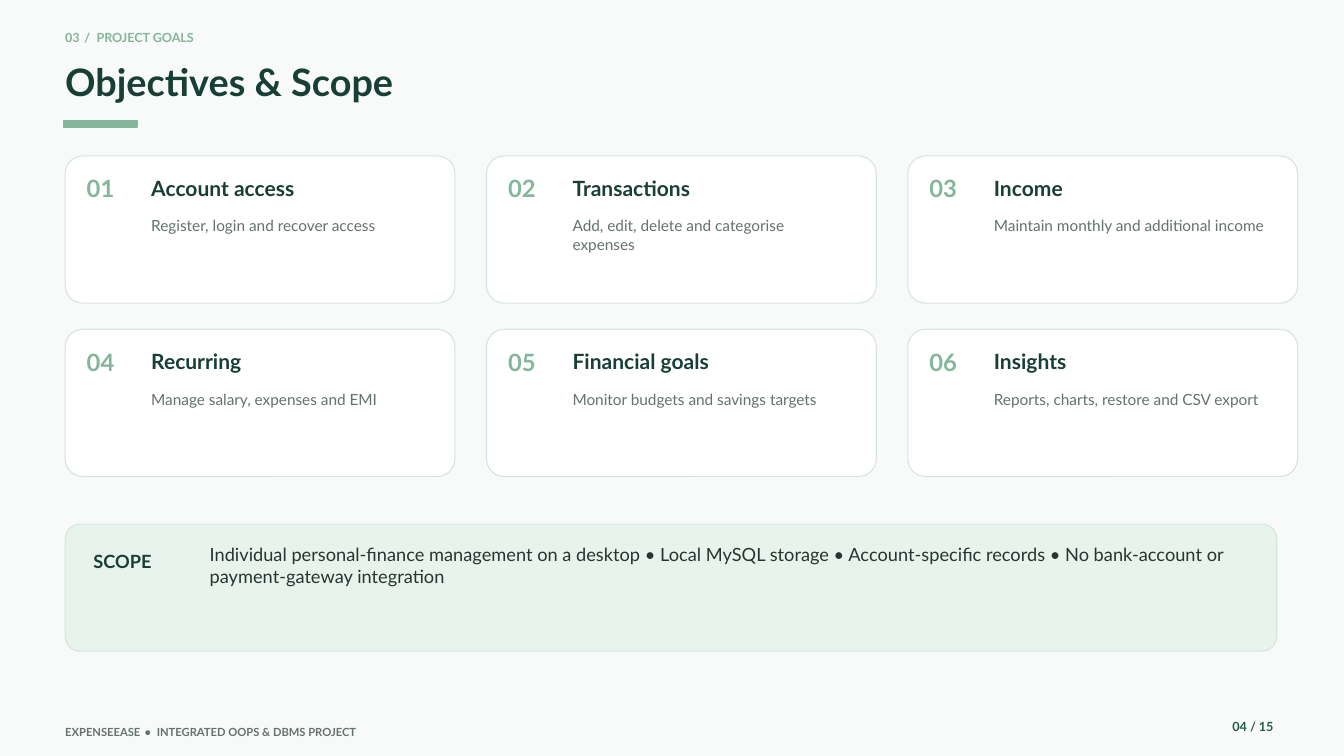
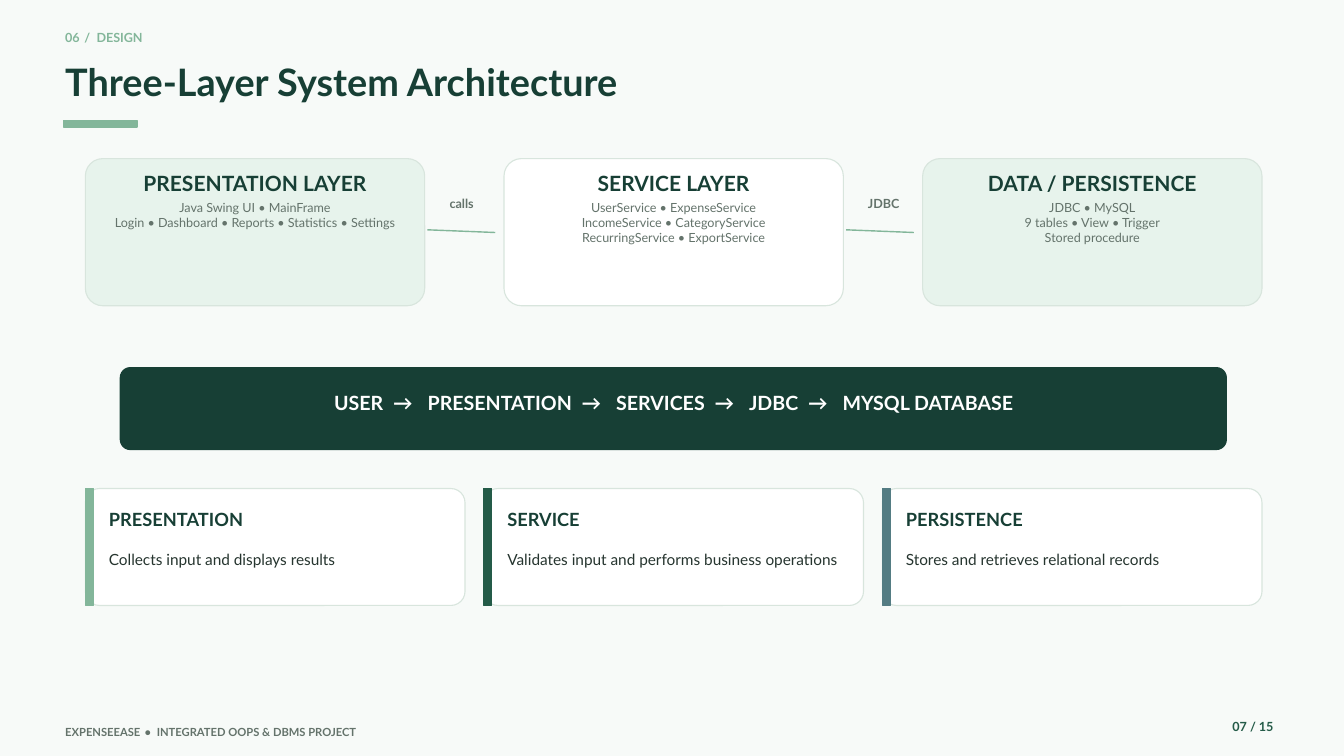
from dataclasses import dataclass

from lxml import etree
from pptx import Presentation
from pptx import util as u
from pptx.dml.color import RGBColor
from pptx.enum import shapes, text
from pptx.oxml.ns import qn
from pptx.presentation import Presentation as Deck
from pptx.shapes.base import BaseShape
from pptx.slide import Slide

PX = 9144
FONT = "Lato"
LEADING = 1.2
SPACE_WIDTH = 0.193

PAPER = RGBColor(0xF7, 0xFA, 0xF8)
WHITE = RGBColor(0xFF, 0xFF, 0xFF)
MINT = RGBColor(0xE7, 0xF3, 0xEC)
BORDER = RGBColor(0xD8, 0xE5, 0xDD)
SAGE = RGBColor(0x83, 0xB6, 0x9A)
GREEN = RGBColor(0x24, 0x5B, 0x48)
FOREST = RGBColor(0x17, 0x3F, 0x35)
TEAL = RGBColor(0x54, 0x7C, 0x83)
INK = RGBColor(0x26, 0x35, 0x2F)
MUTED = RGBColor(0x64, 0x73, 0x6B)

LEFT = text.PP_ALIGN.LEFT
CENTER = text.PP_ALIGN.CENTER
RIGHT = text.PP_ALIGN.RIGHT


@dataclass(frozen=True)
class Box:
    left: int
    top: int
    width: int
    height: int

    def emu(self) -> list[int]:
        return [px * PX for px in (self.left, self.top, self.width, self.height)]

    def inside(self, dx: int, dy: int, width: int, height: int) -> "Box":
        return Box(self.left + dx, self.top + dy, width, height)


@dataclass(frozen=True)
class Style:
    size: float
    color: RGBColor
    bold: bool = True
    align: text.PP_ALIGN = LEFT


@dataclass(frozen=True)
class Separator:
    mark: str
    extra_spaces: int


@dataclass(frozen=True)
class Objective:
    title: str
    detail: str


@dataclass(frozen=True)
class Layer:
    title: str
    members: str
    fill: RGBColor


@dataclass(frozen=True)
class Link:
    label: str
    line_left: int
    label_left: int


@dataclass(frozen=True)
class Role:
    title: str
    detail: str
    accent: RGBColor


KICKER = Style(13.5, SAGE)
TITLE = Style(40.5, FOREST)
FOOTER = Style(12, MUTED)
PAGE = Style(13.5, GREEN, align=RIGHT)
NUMBER = Style(25.5, SAGE)
CARD_TITLE = Style(22.5, FOREST)
CARD_DETAIL = Style(16.5, MUTED, bold=False)
HEADING = Style(19.5, FOREST)
SCOPE_TEXT = Style(19.5, INK, bold=False)
LAYER_TITLE = Style(22.5, FOREST, align=CENTER)
LAYER_MEMBERS = Style(13.5, MUTED, bold=False, align=CENTER)
LINK_LABEL = Style(13.5, MUTED, align=CENTER)
FLOW_TEXT = Style(21, WHITE, align=CENTER)
ROLE_DETAIL = Style(16.5, INK, bold=False)

SLASH = Separator(" / ", 2)
BULLET = Separator(" • ", 2)
ARROW = Separator(" → ", 4)

OBJECTIVES = [
    Objective("Account access", "Register, login and recover access"),
    Objective("Transactions", "Add, edit, delete and categorise expenses"),
    Objective("Income", "Maintain monthly and additional income"),
    Objective("Recurring", "Manage salary, expenses and EMI"),
    Objective("Financial goals", "Monitor budgets and savings targets"),
    Objective("Insights", "Reports, charts, restore and CSV export"),
]
SCOPE = (
    "Individual personal-finance management on a desktop • Local MySQL storage • "
    "Account-specific records • No bank-account or payment-gateway integration"
)
LAYERS = [
    Layer("PRESENTATION LAYER",
          "Java Swing UI • MainFrame\nLogin • Dashboard • Reports • Statistics • Settings", MINT),
    Layer("SERVICE LAYER",
          "UserService • ExpenseService\nIncomeService • CategoryService\n"
          "RecurringService • ExportService", WHITE),
    Layer("DATA / PERSISTENCE",
          "JDBC • MySQL\n9 tables • View • Trigger\nStored procedure", MINT),
]
LINKS = [Link("calls", 636, 637), Link("JDBC", 1259, 1265)]
ROLES = [
    Role("PRESENTATION", "Collects input and displays results", SAGE),
    Role("SERVICE", "Validates input and performs business operations", GREEN),
    Role("PERSISTENCE", "Stores and retrieves relational records", TEAL),
]


def columns(left: int, right: int, width: int, count: int = 3) -> list[int]:
    step = (right - left - width) // (count - 1)
    return [left + i * step for i in range(count)]


def write(slide: Slide, box: Box, words: str, style: Style,
          separator: Separator | None = None) -> None:
    frame = slide.shapes.add_textbox(*box.emu()).text_frame
    frame.margin_left = frame.margin_top = frame.margin_right = frame.margin_bottom = 0
    frame.word_wrap = True
    frame.auto_size = text.MSO_AUTO_SIZE.SHAPE_TO_FIT_TEXT
    if separator:
        tracking = separator.extra_spaces * SPACE_WIDTH * style.size / len(separator.mark)
        for i, piece in enumerate(words.split(separator.mark)):
            if i:
                mark = frame.paragraphs[0].add_run()
                mark.text = separator.mark
                mark._r.get_or_add_rPr().set("spc", str(round(tracking * 100)))
            frame.paragraphs[0].add_run().text = piece
    else:
        frame.text = words
    for paragraph in frame.paragraphs:
        paragraph.alignment = style.align
        paragraph.line_spacing = u.Pt(round(style.size * LEADING, 1))
        for run in paragraph.runs:
            run.font.name = FONT
            run.font.size = u.Pt(style.size)
            run.font.bold = style.bold
            run.font.color.rgb = style.color


def paint(shape: BaseShape, fill: RGBColor, line: RGBColor) -> None:
    shape.shadow.inherit = False
    shape.fill.solid()
    shape.fill.fore_color.rgb = fill
    shape.line.color.rgb = line
    shape.line.width = u.Pt(1.2)


def bar(slide: Slide, box: Box, color: RGBColor) -> None:
    paint(slide.shapes.add_shape(shapes.MSO_SHAPE.RECTANGLE, *box.emu()), color, color)


def panel(slide: Slide, box: Box, radius: int, fill: RGBColor, line: RGBColor = BORDER) -> None:
    shape = slide.shapes.add_shape(shapes.MSO_SHAPE.ROUNDED_RECTANGLE, *box.emu())
    shape.adjustments[0] = radius / min(box.width, box.height)
    paint(shape, fill, line)


def start_slide(deck: Deck, kicker: str, title: str, page: str) -> Slide:
    slide = deck.slides.add_slide(deck.slide_layouts[6])
    slide.background.fill.solid()
    slide.background.fill.fore_color.rgb = PAPER
    write(slide, Box(97, 45, 1808, 29), kicker, KICKER, SLASH)
    write(slide, Box(97, 88, 1793, 78), title, TITLE)
    bar(slide, Box(94, 179, 110, 10), SAGE)
    write(slide, Box(97, 1079, 1418, 19), "EXPENSEEASE • INTEGRATED OOPS & DBMS PROJECT",
          FOOTER, BULLET)
    write(slide, Box(1820, 1070, 75, 31), page, PAGE)
    return slide


def draw_objective(slide: Slide, card: Box, number: int, objective: Objective) -> None:
    panel(slide, card, 26, WHITE)
    write(slide, card.inside(32, 27, 75, 49), f"{number:02}", NUMBER)
    write(slide, card.inside(128, 29, 412, 40), objective.title, CARD_TITLE)
    write(slide, card.inside(128, 90, 405, 94), objective.detail, CARD_DETAIL)


def draw_layer(slide: Slide, card: Box, layer: Layer) -> None:
    panel(slide, card, 26, layer.fill)
    write(slide, card.inside(17, 17, 471, 31), layer.title, LAYER_TITLE)
    write(slide, card.inside(23, 61, 459, 146), layer.members, LAYER_MEMBERS)


def draw_link(slide: Slide, link: Link) -> None:
    ends = (link.line_left, 342, link.line_left + 101, 346)
    connector = slide.shapes.add_connector(
        shapes.MSO_CONNECTOR.STRAIGHT, *(px * PX for px in ends))
    connector.line.color.rgb = SAGE
    connector.line.width = u.Pt(1.5)
    etree.SubElement(connector._element.spPr, qn("a:effectLst"))
    write(slide, Box(link.label_left, 291, 100, 26), link.label, LINK_LABEL)


def draw_role(slide: Slide, card: Box, role: Role) -> None:
    panel(slide, card, 21, WHITE)
    bar(slide, card.inside(0, 0, 12, card.height), role.accent)
    write(slide, card.inside(35, 29, 498, 37), role.title, HEADING)
    write(slide, card.inside(35, 92, 498, 63), role.detail, ROLE_DETAIL)


def build_objectives(deck: Deck) -> None:
    slide = start_slide(deck, "03 / PROJECT GOALS", "Objectives & Scope", "04 / 15")
    lefts = columns(97, 1931, 580)
    for i, objective in enumerate(OBJECTIVES):
        row, column = divmod(i, len(lefts))
        draw_objective(slide, Box(lefts[column], 232 + row * 258, 580, 219), i + 1, objective)
    scope = Box(97, 780, 1803, 189)
    panel(slide, scope, 22, MINT)
    write(slide, scope.inside(42, 39, 172, 37), "SCOPE", HEADING)
    write(slide, scope.inside(215, 29, 1523, 100), SCOPE, SCOPE_TEXT)


def build_architecture(deck: Deck) -> None:
    slide = start_slide(deck, "06 / DESIGN", "Three-Layer System Architecture", "07 / 15")
    for left, layer in zip(columns(127, 1878, 505), LAYERS):
        draw_layer(slide, Box(left, 236, 505, 219), layer)
    for link in LINKS:
        draw_link(slide, link)
    flow = Box(179, 547, 1646, 122)
    panel(slide, flow, 15, FOREST, FOREST)
    write(slide, flow.inside(43, 35, 1561, 41),
          "USER → PRESENTATION → SERVICES → JDBC → MYSQL DATABASE", FLOW_TEXT, ARROW)
    for left, role in zip(columns(127, 1878, 565), ROLES):
        draw_role(slide, Box(left, 727, 565, 174), role)


def main() -> None:
    deck = Presentation()
    deck.slide_width, deck.slide_height = 2000 * PX, 1125 * PX
    build_objectives(deck)
    build_architecture(deck)
    deck.save("out.pptx")


if __name__ == "__main__":
    main()
